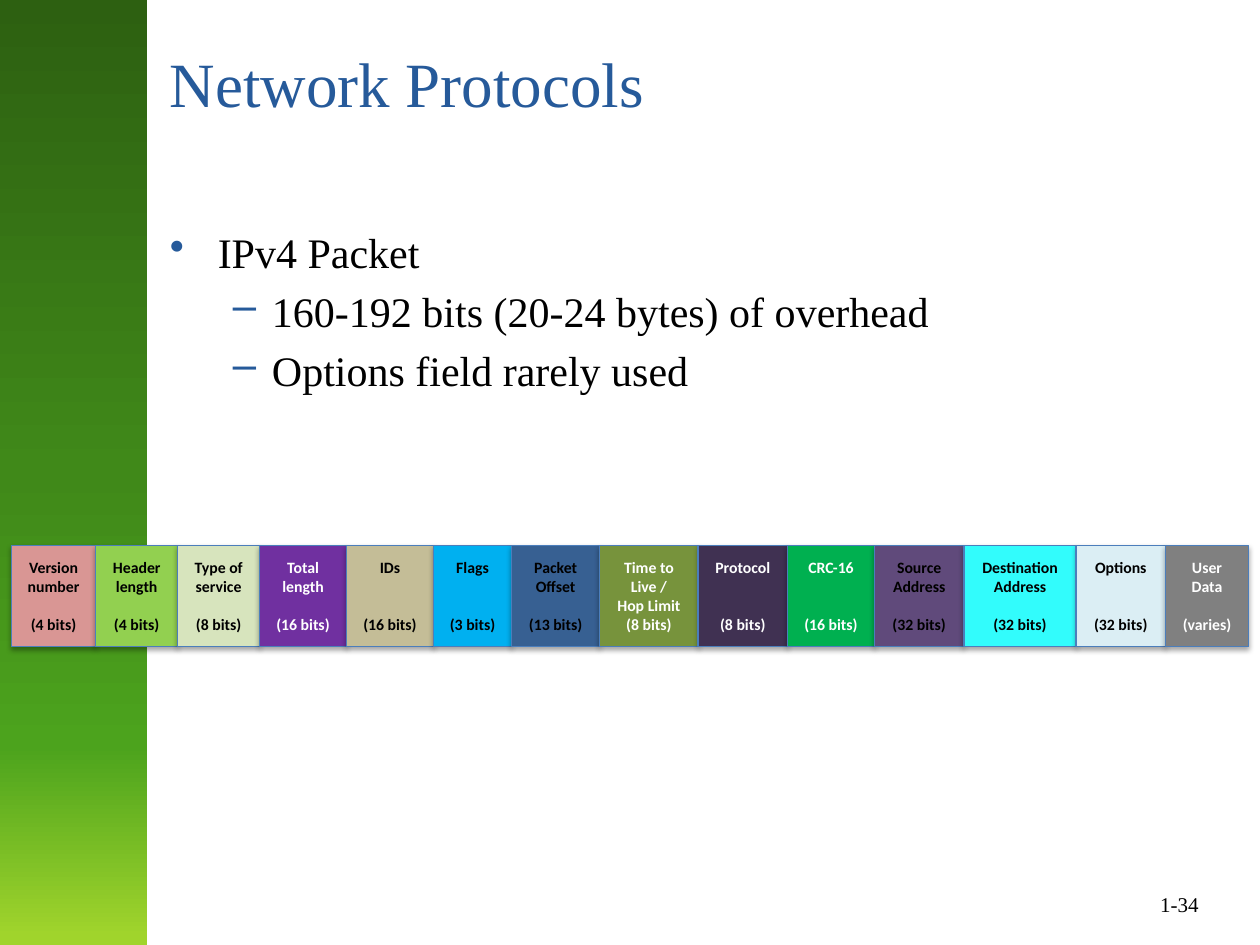
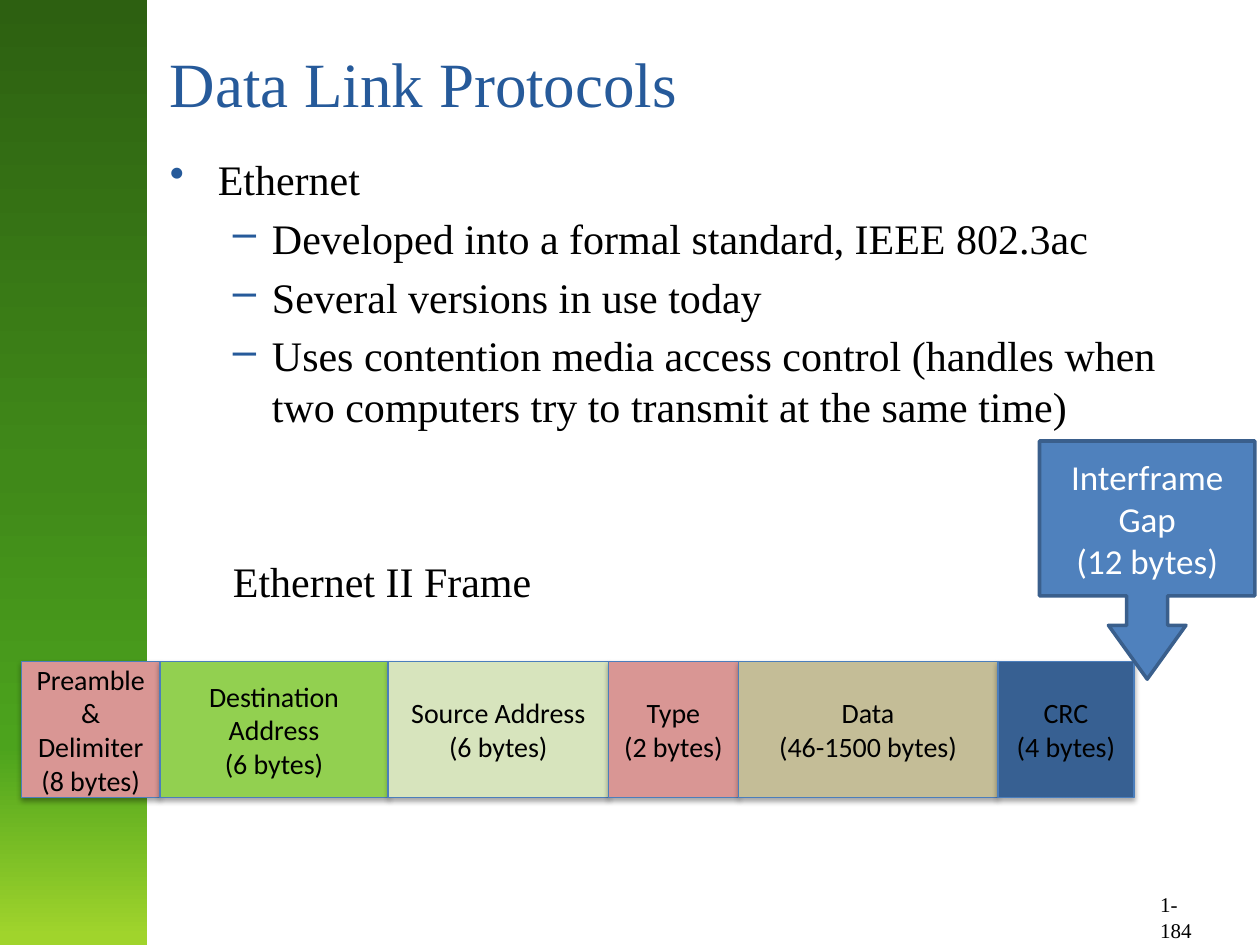
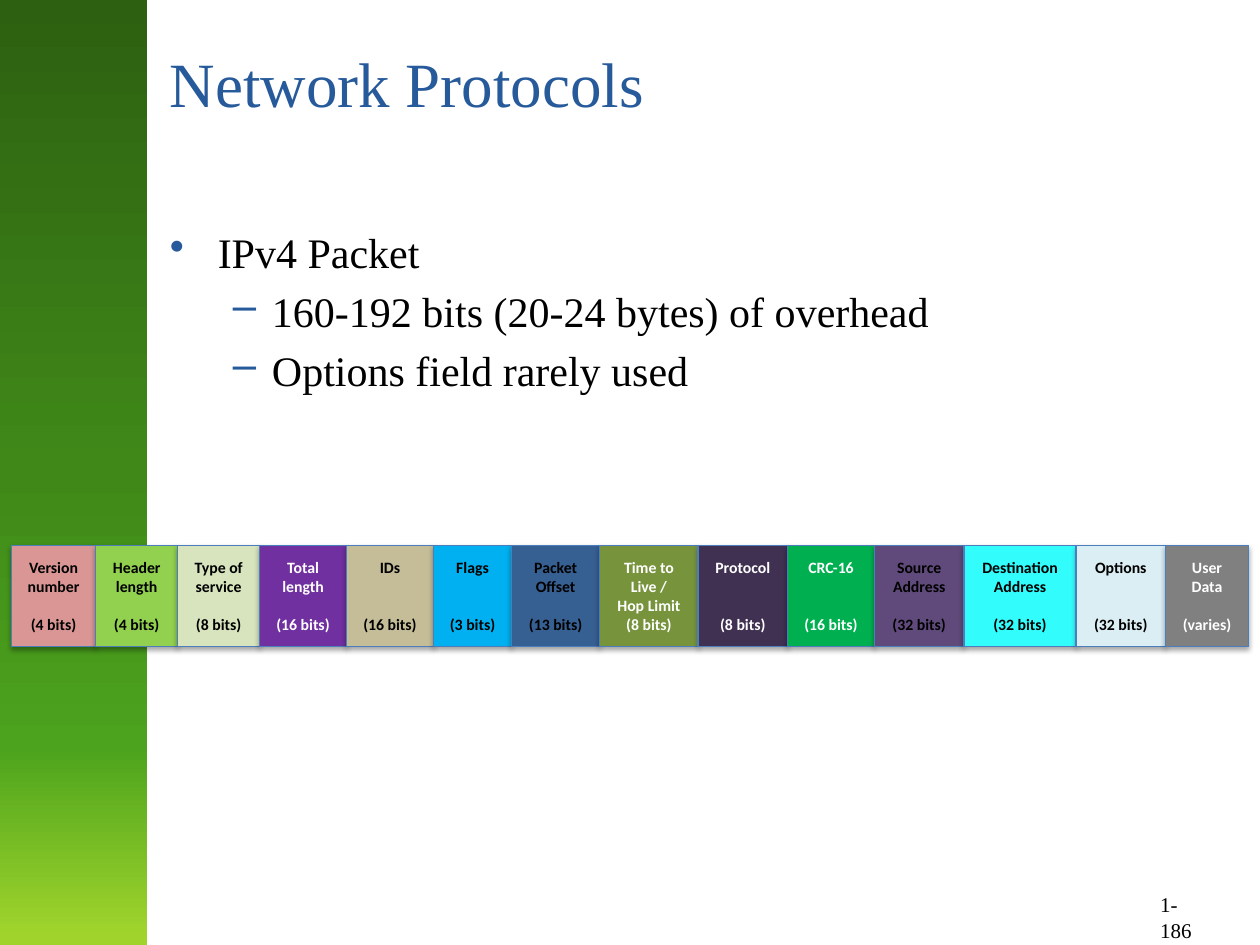
from lxml.etree import SubElement
from pptx import Presentation
from pptx.dml.color import RGBColor
from pptx.enum.shapes import MSO_SHAPE
from pptx.enum.text import MSO_ANCHOR, PP_ALIGN
from pptx.oxml.ns import qn
from pptx.util import Inches, Pt

SERIF, SANS = "Times New Roman", "Calibri"
BLACK, WHITE, TITLE_BLUE, CELL_LINE = "000000", "FFFFFF", "265A9A", "4B7EBC"
BAND_STOPS = [(0, "2D6011"), (50, "408919"), (79, "4CA31D"), (99, "A0D42C")]
PINK, LIME, PALE_GREEN, TAN, NAVY = "D99694", "92D050", "D7E4BD", "C4BD97", "376092"

# Bullet, left margin and hanging indent in inches
BODY_STYLES = {
    "topic": ("•", 0.38, -0.38),
    "detail": ("–", 0.81, -0.31),
    "caption": (None, 0.5, 0),
}
BODY_SPACE = 4.8
CAPTION_SPACE = 71.5
PACKET_LINE = 11

IPV4_BODY = [
    ("topic", "IPv4 Packet"),
    ("detail", "160-192 bits (20-24 bytes) of overhead"),
    ("detail", "Options field rarely used"),
]
ETHERNET_BODY = [
    ("topic", "Ethernet"),
    ("detail", "Developed into a formal standard, IEEE 802.3ac"),
    ("detail", "Several versions in use today"),
    ("detail", "Uses contention media access control (handles when "
               "two computers try to transmit at the same time)"),
    ("caption", "Ethernet II Frame"),
]

# Width, fill, text colour, lines, empty lines above the last line
IPV4_FIELDS = [
    (0.67, PINK, BLACK, ["Version number", "(4 bits)"], 1),
    (0.65, LIME, BLACK, ["Header length", "(4 bits)"], 1),
    (0.65, PALE_GREEN, BLACK, ["Type of service", "(8 bits)"], 1),
    (0.69, "7030A0", WHITE, ["Total length", "(16 bits)"], 1),
    (0.69, TAN, BLACK, ["IDs", "(16 bits)"], 2),
    (0.62, "00B0F0", BLACK, ["Flags", "(3 bits)"], 2),
    (0.70, NAVY, BLACK, ["Packet Offset", "(13 bits)"], 1),
    (0.78, "77933C", WHITE, ["Time to Live /", "Hop Limit", "(8 bits)"], 0),
    (0.71, "403152", WHITE, ["Protocol", "(8 bits)"], 2),
    (0.69, "00B050", WHITE, ["CRC-16", "(16 bits)"], 2),
    (0.71, "604A7B", BLACK, ["Source Address", "(32 bits)"], 1),
    (0.89, "32FCFC", BLACK, ["Destination Address", "(32 bits)"], 1),
    (0.71, "DBEEF4", BLACK, ["Options", "(32 bits)"], 2),
    (0.66, "808080", WHITE, ["User Data", "(varies)"], 1),
]
ETHERNET_FIELDS = [
    (1.10, PINK, BLACK, ["Preamble & Delimiter", "(8 bytes)"], 0),
    (1.81, LIME, BLACK, ["Destination Address", "(6 bytes)"], 0),
    (1.75, PALE_GREEN, BLACK, ["Source Address", "(6 bytes)"], 0),
    (1.03, PINK, BLACK, ["Type", "(2 bytes)"], 0),
    (2.06, TAN, BLACK, ["Data", "(46-1500 bytes)"], 0),
    (1.08, NAVY, BLACK, ["CRC", "(4 bytes)"], 0),
]


def color(hex_value):
    return RGBColor.from_string(hex_value)


def add_run(para, text, size, font, hex_value, bold=False):
    span = para.add_run()
    span.text = text
    span.font.size = Pt(size)
    span.font.name = font
    span.font.bold = bold
    span.font.color.rgb = color(hex_value)


def next_paragraph(frame, index):
    return frame.add_paragraph() if index else frame.paragraphs[0]


def add_text_box(page, left, top, width, height):
    box = page.shapes.add_textbox(*map(Inches, (left, top, width, height)))
    box.text_frame.word_wrap = True
    return box.text_frame


def add_label(page, place, text, size, hex_value):
    frame = add_text_box(page, *place)
    add_run(frame.paragraphs[0], text, size, SERIF, hex_value)


def add_band(page):
    """Draw the green gradient strip on the left edge."""
    band = page.shapes.add_shape(MSO_SHAPE.RECTANGLE, 0, 0, Inches(1.17), Inches(7.5))
    gradient = SubElement(band._element.spPr, qn("a:gradFill"), rotWithShape="1")
    stops = SubElement(gradient, qn("a:gsLst"))
    for percent, hex_value in BAND_STOPS:
        stop = SubElement(stops, qn("a:gs"), pos=str(percent * 1000))
        SubElement(stop, qn("a:srgbClr"), val=hex_value)
    SubElement(gradient, qn("a:lin"), ang="5400000", scaled="0")
    band.line.fill.background()
    band.shadow.inherit = False


def add_page(deck, title, number):
    page = deck.slides.add_slide(deck.slide_layouts[6])
    add_label(page, (9.11, 7.03, 0.56, 0.3), number, 12, BLACK)
    add_band(page)
    add_label(page, (1.25, 0.3, 8.42, 1.25), title, 36, TITLE_BLUE)
    return page


def set_bullet(para, symbol, margin, indent):
    properties = para._p.get_or_add_pPr()
    properties.set("marL", str(Inches(margin)))
    properties.set("indent", str(Inches(indent)))
    if symbol:
        bullet_color = SubElement(properties, qn("a:buClr"))
        SubElement(bullet_color, qn("a:srgbClr"), val=TITLE_BLUE)
        SubElement(properties, qn("a:buChar"), char=symbol)


def add_body(page, top, lines):
    frame = add_text_box(page, 1.25, top, 8.42, 6.7 - top)
    for index, (style, text) in enumerate(lines):
        para = next_paragraph(frame, index)
        set_bullet(para, *BODY_STYLES[style])
        if index:
            para.space_before = Pt(CAPTION_SPACE if style == "caption" else BODY_SPACE)
        add_run(para, text, 24, SERIF, BLACK)


def add_filled_shape(page, kind, place, fill, line, line_width):
    shape = page.shapes.add_shape(kind, *map(Inches, place))
    shape.fill.solid()
    shape.fill.fore_color.rgb = color(fill)
    shape.line.color.rgb = color(line)
    shape.line.width = Pt(line_width)
    shape.shadow.inherit = False
    return shape


def write_centred(shape, lines, size, hex_value, bold=False, last_gap=0):
    frame = shape.text_frame
    frame.word_wrap = True
    frame.vertical_anchor = MSO_ANCHOR.MIDDLE
    for index, text in enumerate(lines):
        para = next_paragraph(frame, index)
        para.alignment = PP_ALIGN.CENTER
        add_run(para, text, size, SANS, hex_value, bold)
    if last_gap:
        para.space_before = Pt(last_gap)


def add_soft_shadow(shape):
    effects = shape._element.spPr.find(qn("a:effectLst"))
    shadow = SubElement(effects, qn("a:outerShdw"), blurRad=str(Pt(3.1)),
                        dist=str(Pt(1.8)), dir="5400000", rotWithShape="0")
    shade = SubElement(shadow, qn("a:srgbClr"), val=BLACK)
    SubElement(shade, qn("a:alpha"), val="35000")


def add_field_row(page, left, top, height, fields, size, bold=False):
    """Lay packet fields side by side from left to right."""
    for width, fill, text_color, lines, empty_lines in fields:
        cell = add_filled_shape(page, MSO_SHAPE.RECTANGLE, (left, top, width, height),
                                fill, CELL_LINE, 0.75)
        add_soft_shadow(cell)
        write_centred(cell, lines, size, text_color, bold, empty_lines * PACKET_LINE)
        left += width


def add_gap_callout(page):
    callout = add_filled_shape(page, MSO_SHAPE.DOWN_ARROW_CALLOUT,
                               (8.25, 3.5, 1.71, 1.89), "4F81BD", "3A5F8C", 2)
    for index, value in enumerate((0.19, 0.18, 0.25, 0.65)):
        callout.adjustments[index] = value
    write_centred(callout, ["Interframe Gap", "(12 bytes)"], 20, WHITE)


def add_ipv4_page(deck, number):
    page = add_page(deck, "Network Protocols", number)
    add_body(page, 1.75, IPV4_BODY)
    add_field_row(page, 0.09, 4.33, 0.8, IPV4_FIELDS, 9, bold=True)


def add_ethernet_page(deck, number):
    page = add_page(deck, "Data Link Protocols", number)
    add_body(page, 1.17, ETHERNET_BODY)
    add_field_row(page, 0.17, 5.25, 1.08, ETHERNET_FIELDS, 16)
    add_gap_callout(page)


def main():
    deck = Presentation()
    deck.slide_width, deck.slide_height = Inches(10), Inches(7.5)
    add_ipv4_page(deck, "1-34")
    add_ethernet_page(deck, "1-184")
    add_ipv4_page(deck, "1-186")
    deck.save("out.pptx")


if __name__ == "__main__":
    main()
